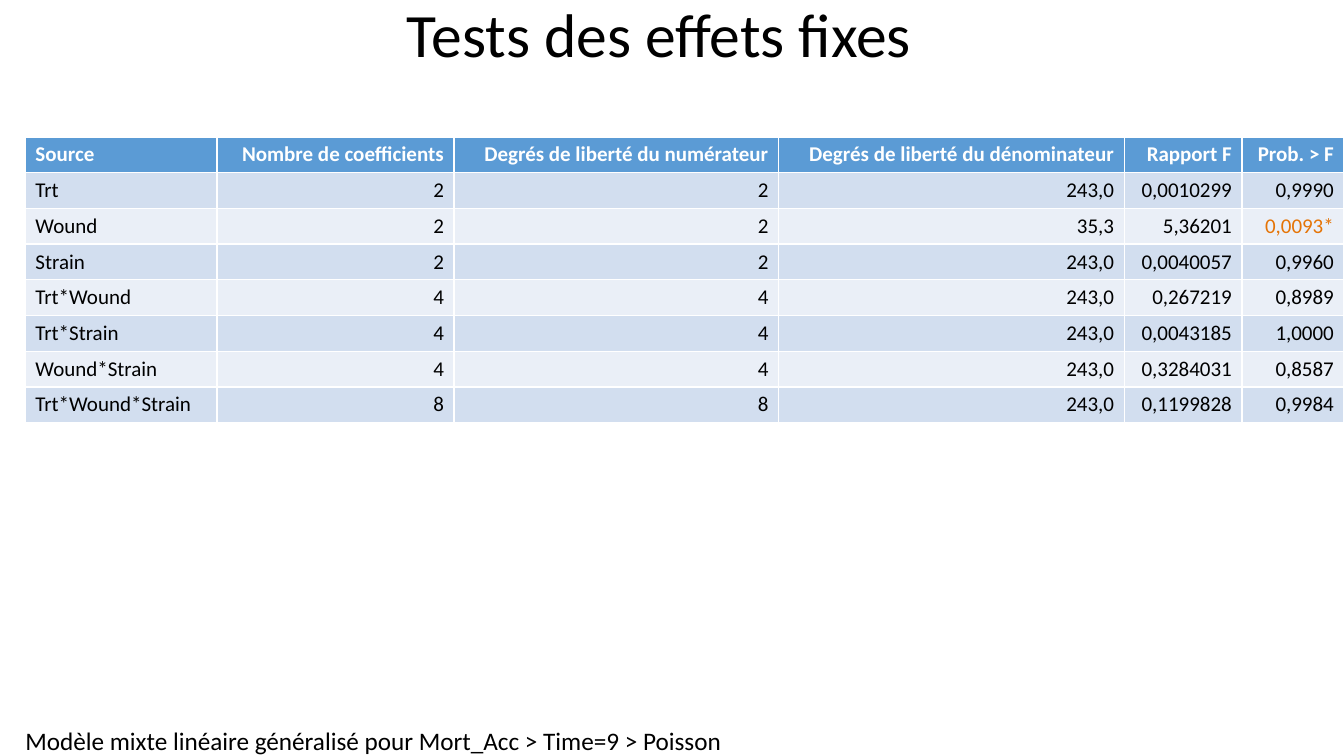
from dataclasses import dataclass

from pptx import Presentation
from pptx.dml.color import RGBColor
from pptx.enum import text
from pptx.util import Cm, Pt


@dataclass(frozen=True)
class Theme:
    font: str = "Calibri"
    ink: str = "000000"
    header_ink: str = "FFFFFF"
    significant: str = "E57406"
    header_fill: str = "5B9BD5"
    bands: tuple = ("D2DEEF", "EAEFF7")
    title_size: int = 44
    caption_size: int = 18
    table_size: int = 15


@dataclass(frozen=True)
class Box:
    left: float
    top: float
    width: float
    height: float

    def lengths(self):
        return Cm(self.left), Cm(self.top), Cm(self.width), Cm(self.height)


THEME = Theme()
PAGE = Box(0, 0, 33.87, 19.05)
MARGIN = 0.64
CONTENT_WIDTH = PAGE.width - MARGIN
ROW_HEIGHT = 0.9
COLUMN_WIDTHS = (4.83, 5.97, 8.18, 8.71, 2.97, 2.57)
HEADINGS = (
    "Source",
    "Nombre de coefficients",
    "Degrés de liberté du numérateur",
    "Degrés de liberté du dénominateur",
    "Rapport F",
    "Prob. > F",
)
EFFECTS = (
    ("Trt", "2", "2", "243,0", "0,0010299", "0,9990"),
    ("Wound", "2", "2", "35,3", "5,36201", "0,0093*"),
    ("Strain", "2", "2", "243,0", "0,0040057", "0,9960"),
    ("Trt*Wound", "4", "4", "243,0", "0,267219", "0,8989"),
    ("Trt*Strain", "4", "4", "243,0", "0,0043185", "1,0000"),
    ("Wound*Strain", "4", "4", "243,0", "0,3284031", "0,8587"),
    ("Trt*Wound*Strain", "8", "8", "243,0", "0,1199828", "0,9984"),
)


def style_paragraph(para, size, color, align, bold=False):
    para.alignment = align
    para.font.name = THEME.font
    para.font.size = Pt(size)
    para.font.bold = bold
    para.font.color.rgb = RGBColor.from_string(color)


def add_title(page, box, wording):
    frame = page.shapes.add_textbox(*box.lengths()).text_frame
    frame.word_wrap = True
    frame.vertical_anchor = text.MSO_ANCHOR.MIDDLE
    para = frame.paragraphs[0]
    para.text = wording
    para.line_spacing = 0.9
    style_paragraph(para, THEME.title_size, THEME.ink, text.PP_ALIGN.CENTER)


def add_caption(page, box, wording):
    frame = page.shapes.add_textbox(*box.lengths()).text_frame
    frame.margin_left = frame.margin_right = 0
    frame.margin_top = frame.margin_bottom = 0
    frame.word_wrap = False
    frame.auto_size = text.MSO_AUTO_SIZE.SHAPE_TO_FIT_TEXT
    para = frame.paragraphs[0]
    para.text = wording
    style_paragraph(para, THEME.caption_size, THEME.ink, text.PP_ALIGN.LEFT)


def cell_colors(row_index, value):
    if row_index == 0:
        return THEME.header_fill, THEME.header_ink
    fill = THEME.bands[(row_index - 1) % len(THEME.bands)]
    return fill, THEME.significant if value.endswith("*") else THEME.ink


def add_effects_table(page, box, rows):
    table = page.shapes.add_table(len(rows), len(COLUMN_WIDTHS), *box.lengths()).table
    for column, width in zip(table.columns, COLUMN_WIDTHS):
        column.width = Cm(width)
    for row_index, values in enumerate(rows):
        table.rows[row_index].height = Cm(box.height / len(rows))
        for column_index, value in enumerate(values):
            cell = table.cell(row_index, column_index)
            fill, ink = cell_colors(row_index, value)
            cell.fill.solid()
            cell.fill.fore_color.rgb = RGBColor.from_string(fill)
            cell.text = value
            align = text.PP_ALIGN.RIGHT if column_index else text.PP_ALIGN.LEFT
            style_paragraph(cell.text_frame.paragraphs[0], THEME.table_size, ink,
                            align, bold=row_index == 0)


def build_effects_slide(deck, box):
    page = deck.slides.add_slide(deck.slide_layouts[6])
    rows = (HEADINGS, *EFFECTS)
    left = box.left + MARGIN
    caption_height = 0.78
    add_caption(page, Box(left, box.top + box.height - caption_height, 17.6, caption_height),
                "Modèle mixte linéaire généralisé pour Mort_Acc > Time=9 > Poisson")
    add_title(page, Box(box.left, box.top, CONTENT_WIDTH, 1.9), "Tests des effets fixes")
    add_effects_table(page, Box(left, box.top + 3.45, CONTENT_WIDTH, ROW_HEIGHT * len(rows)), rows)


def main():
    deck = Presentation()
    deck.slide_width = Cm(PAGE.width)
    deck.slide_height = Cm(PAGE.height)
    build_effects_slide(deck, PAGE)
    deck.save("out.pptx")


if __name__ == "__main__":
    main()
